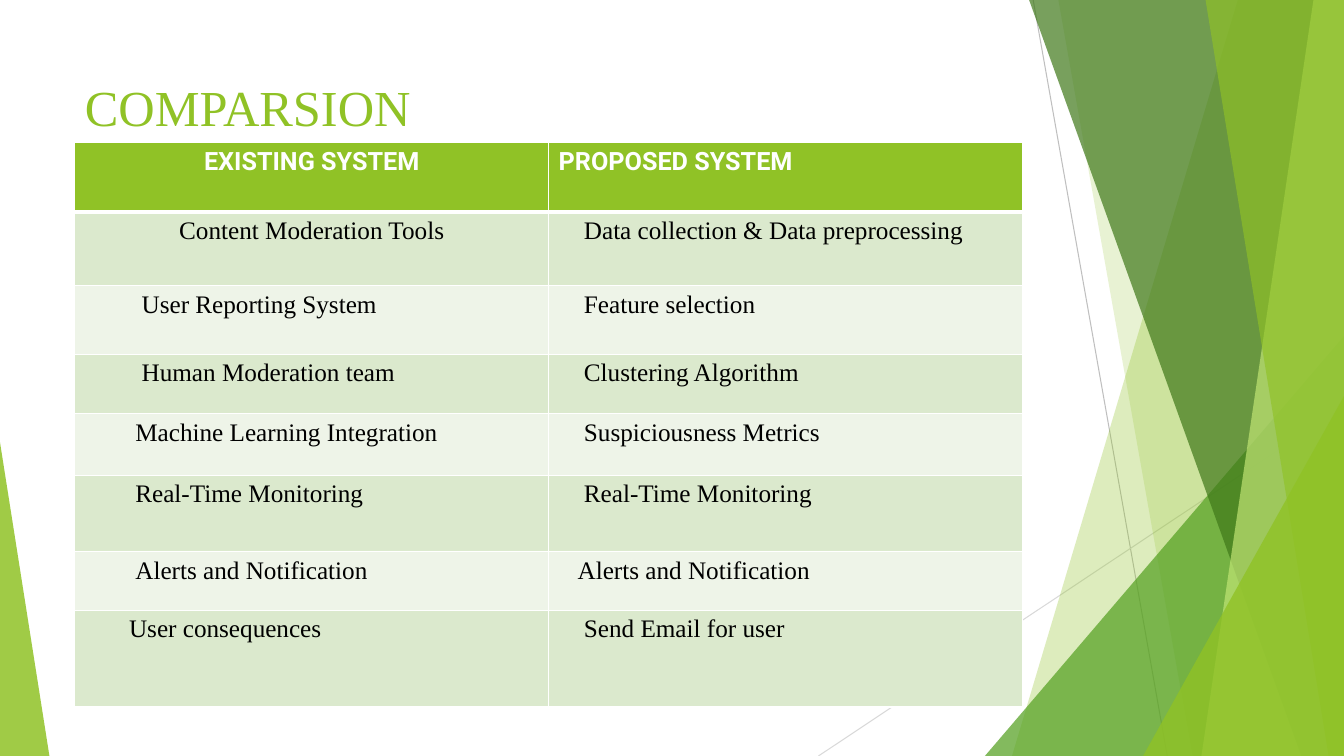
from lxml import etree
from pptx import Presentation
from pptx.dml.color import RGBColor
from pptx.enum.shapes import MSO_CONNECTOR, MSO_SHAPE
from pptx.enum.text import MSO_ANCHOR, PP_ALIGN
from pptx.oxml.ns import qn
from pptx.util import Pt

STRAIGHT = MSO_CONNECTOR.STRAIGHT
TRIANGLE = MSO_SHAPE.ISOSCELES_TRIANGLE
BOTTOM = MSO_ANCHOR.BOTTOM
LEFT, CENTER = PP_ALIGN.LEFT, PP_ALIGN.CENTER

SLIDE_W, SLIDE_H = 960, 540
SERIF, SANS = "Times New Roman", "Roboto"
COLORS = {
    "lime": "90C226", "green": "54A021", "forest": "3F7819", "pale": "C0E474",
    "dark_rule": "BFBFBF", "light_rule": "D9D9D9",
    "odd_row": "DBE9CD", "even_row": "EEF4E8",
    "white": "FFFFFF", "black": "000000",
}

CELL_MARGIN = 7.2
HEADINGS = ("EXISTING SYSTEM", "PROPOSED SYSTEM")
# Existing system, its indent, proposed system, its indent, row height;
# an indent of None centres the text
COMPARISON = [
    ("Content Moderation Tools", None, "Data collection & Data preprocessing", 18, 52.6),
    ("User Reporting System", 40.5, "Feature selection", 18, 49),
    ("Human Moderation team", 40.5, "Clustering Algorithm", 18, 42.5),
    ("Machine Learning Integration", 36, "Suspiciousness Metrics", 18, 44),
    ("Real-Time Monitoring", 36, "Real-Time Monitoring", 18, 54.7),
    ("Alerts and Notification", 36, "Alerts and Notification", 13.5, 41.8),
    ("User consequences", 31.5, "Send Email for user", 18, 69),
]


def rgb(color):
    return RGBColor.from_string(COLORS[color])


def paint(shape, color, opacity):
    """Flat fill with an opacity in percent, no outline, no shadow."""
    shape.shadow.inherit = False
    shape.fill.solid()
    shape.fill.fore_color.rgb = rgb(color)
    shape.line.fill.background()
    tint = shape.fill._xPr.find(".//" + qn("a:srgbClr"))
    etree.SubElement(tint, qn("a:alpha"), val=str(opacity * 1000))


def add_rule(slide, start, end, color):
    rule = slide.shapes.add_connector(STRAIGHT, *map(Pt, start + end))
    rule.line.color.rgb = rgb(color)
    rule.line.width = Pt(0.75)
    etree.SubElement(rule._element.spPr, qn("a:effectLst"))


def add_band(slide, top_left, bottom_left, color, opacity):
    """Full-height band from a slanted left side to the slide's right edge."""
    corners = [(SLIDE_W, 0), (SLIDE_W, SLIDE_H), (bottom_left, SLIDE_H)]
    outline = slide.shapes.build_freeform(Pt(top_left), 0)
    outline.add_line_segments([(Pt(x), Pt(y)) for x, y in corners], close=True)
    paint(outline.convert_to_shape(), color, opacity)


def add_wedge(slide, left, width, height, apex, color, opacity):
    """Triangle standing on the slide's bottom edge; apex 0 is left, 1 right."""
    wedge = slide.shapes.add_shape(
        TRIANGLE, Pt(left), Pt(SLIDE_H - height), Pt(width), Pt(height))
    wedge.adjustments[0] = apex
    paint(wedge, color, opacity)


def style_text(paragraph, font_name, size, color, bold=False):
    for run in paragraph.runs:
        run.font.name = font_name
        run.font.size = Pt(size)
        run.font.bold = bold
        run.font.color.rgb = rgb(color)


def add_title(slide, text):
    title = slide.shapes.add_textbox(Pt(53.5), Pt(48.2), Pt(696), Pt(53.3))
    frame = title.text_frame
    frame.word_wrap = True
    frame.vertical_anchor = BOTTOM
    frame.text = text
    style_text(frame.paragraphs[0], SERIF, 36, "lime")


def set_borders(cell, top, bottom):
    properties = cell._tc.get_or_add_tcPr()
    widths = {"lnL": 1, "lnR": 1, "lnT": top, "lnB": bottom}
    for position, (side, width) in enumerate(widths.items()):
        border = etree.Element(qn("a:" + side), w=str(Pt(width)))
        fill = etree.SubElement(border, qn("a:solidFill"))
        etree.SubElement(fill, qn("a:srgbClr"), val=COLORS["white"])
        properties.insert(position, border)


def fill_cell(cell, text, indent, color):
    cell.fill.solid()
    cell.fill.fore_color.rgb = rgb(color)
    cell.text = text
    cell.margin_left = Pt(CELL_MARGIN + (indent or 0))
    paragraph = cell.text_frame.paragraphs[0]
    paragraph.alignment = CENTER if indent is None else LEFT
    return paragraph


def add_comparison(slide):
    heights = [49.7] + [row[-1] for row in COMPARISON]
    table = slide.shapes.add_table(
        len(heights), 2, Pt(53.5), Pt(101.8), Pt(676.8), Pt(sum(heights))).table
    table.horz_banding = False
    for column in table.columns:
        column.width = Pt(338.4)
    for row, height in zip(table.rows, heights):
        row.height = Pt(height)

    # Heading row
    for cell, heading, indent in zip(table.rows[0].cells, HEADINGS, (None, 0)):
        paragraph = fill_cell(cell, heading, indent, "lime")
        style_text(paragraph, SANS, 18, "white", bold=True)
        set_borders(cell, 1, 3)

    # Compared features
    for number, (existing, indent, proposed, proposed_indent, _) in enumerate(COMPARISON, 1):
        color = "odd_row" if number % 2 else "even_row"
        features = ((existing, indent), (proposed, proposed_indent))
        for column, (feature, feature_indent) in enumerate(features):
            cell = table.cell(number, column)
            paragraph = fill_cell(cell, feature, feature_indent, color)
            style_text(paragraph, SERIF, 18, "black")
            set_borders(cell, 3 if number == 1 else 1, 1)


def add_backdrop(slide):
    # Thin rules
    add_rule(slide, (738, 0), (833.8, SLIDE_H), "dark_rule")
    add_rule(slide, (SLIDE_W, 290.2), (584.6, SLIDE_H), "light_rule")
    # Overlapping facets on the right
    add_band(slide, 884.2, 722.9, "lime", 30)
    add_band(slide, 756, 851.8, "lime", 20)
    add_wedge(slide, 703.5, 256.5, 300, 1, "green", 72)
    add_band(slide, 735.1, 929.5, "forest", 70)
    add_band(slide, 938.2, 858.2, "pale", 70)
    add_band(slide, 861.1, 949, "lime", 65)
    add_wedge(slide, 816.5, 143.5, 257, 1, "lime", 80)
    # Left corner
    add_wedge(slide, 0, 35.3, 224, 0, "lime", 85)


def main():
    presentation = Presentation()
    presentation.slide_width = Pt(SLIDE_W)
    presentation.slide_height = Pt(SLIDE_H)
    slide = presentation.slides.add_slide(presentation.slide_layouts[6])
    add_backdrop(slide)
    add_title(slide, "COMPARSION")
    add_comparison(slide)
    presentation.save("out.pptx")


if __name__ == "__main__":
    main()
